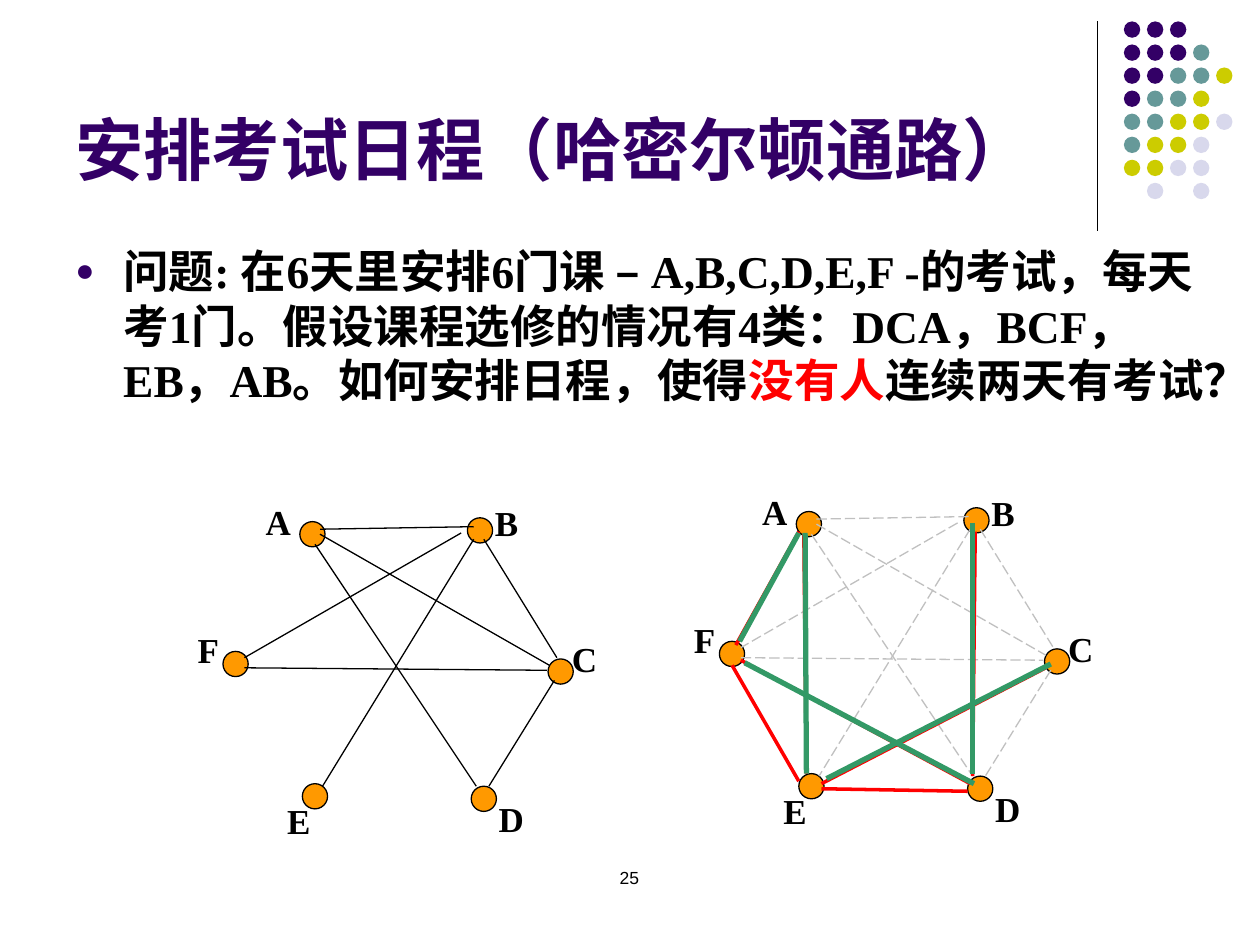
from lxml import etree
from pptx import Presentation
from pptx.dml.color import RGBColor
from pptx.enum import dml, shapes, text
from pptx.oxml import ns
from pptx.util import Inches, Pt

COLORS = {
    "purple": "330066", "teal": "669999", "olive": "CCCC00", "lilac": "D8D8EC",
    "orange": "FF9900", "black": "000000", "gray": "C0C0C0", "red": "FF0000",
    "green": "339966",
}
SERIF = "Times New Roman"

deck = Presentation()
deck.slide_width, deck.slide_height = Inches(10), Inches(7.5)
page = deck.slides.add_slide(deck.slide_layouts[6])


def add_text(left, top, width, height, runs, size):
    """Add a text box of (words, font, colour, bold) runs; return its frame."""
    box = page.shapes.add_textbox(
        Inches(left), Inches(top), Inches(width), Inches(height))
    frame = box.text_frame
    frame.word_wrap = True
    for words, font, color, bold in runs:
        span = frame.paragraphs[0].add_run()
        span.text = words
        span.font.name, span.font.size, span.font.bold = font, Pt(size), bold
        span.font.color.rgb = RGBColor.from_string(COLORS[color])
        if not words.isascii():
            span._r.get_or_add_rPr().set("lang", "zh-CN")
    return frame


def add_line(start, end, color, width=0.75, dashed=False):
    line = page.shapes.add_connector(
        shapes.MSO_CONNECTOR.STRAIGHT, *[Inches(v) for v in (*start, *end)])
    line.line.color.rgb = RGBColor.from_string(COLORS[color])
    line.line.width = Pt(width)
    if dashed:
        line.line.dash_style = dml.MSO_LINE.LONG_DASH
    etree.SubElement(line._element.spPr, ns.qn("a:effectLst"))


# Corner decoration: one letter per dot
add_line((8.71, 0.17), (8.71, 1.83), "black")
dot_colors = {"p": "purple", "t": "teal", "o": "olive", "l": "lilac"}
dot_rows = ["ppp", "pppt", "pptto", "ptto", "ttool", "tool", "ooll", " l l"]
for row, letters in enumerate(dot_rows):
    for column, letter in enumerate(letters):
        if letter == " ":
            continue
        dot = page.shapes.add_shape(
            shapes.MSO_SHAPE.OVAL, Inches(8.92 + 0.183 * column),
            Inches(0.17 + 0.183 * row), Inches(0.13), Inches(0.13))
        dot.shadow.inherit = False
        dot.fill.solid()
        dot.fill.fore_color.rgb = RGBColor.from_string(COLORS[dot_colors[letter]])
        dot.line.fill.background()

# Title and question
title = add_text(0.5, 0.13, 8.25, 1.42, [
    ("安排考试日程（", "Arial", "purple", True),
    ("哈密尔顿通路）", SERIF, "purple", True)], 39)
title.vertical_anchor = text.MSO_ANCHOR.BOTTOM

question = add_text(0.5, 1.88, 9.23, 2.03, [
    ("问题: 在6天里安排6门课 – A,B,C,D,E,F -的考试，每天考1门。"
     "假设课程选修的情况有4类：DCA，BCF，EB，AB。如何安排日程，使得",
     SERIF, "black", True),
    ("没有人", SERIF, "red", True),
    ("连续两天有考试？", SERIF, "black", True)], 26)
bullet = question.paragraphs[0]._p.get_or_add_pPr()
bullet.set("marL", str(Inches(0.38)))
bullet.set("indent", str(-Inches(0.38)))
bullet_color = etree.SubElement(bullet, ns.qn("a:buClr"))
etree.SubElement(bullet_color, ns.qn("a:srgbClr"), val=COLORS["purple"])
etree.SubElement(bullet, ns.qn("a:buSzPct"), val="70000")
etree.SubElement(bullet, ns.qn("a:buFont"), typeface="Arial")
etree.SubElement(bullet, ns.qn("a:buChar"), char="●")

# Course graph, drawn twice: conflicts on the left, schedule on the right
courses = {  # name: (node left and top, label left and top)
    "A": ((2.38, 4.14), (2.01, 3.92)),
    "B": ((3.71, 4.11), (3.83, 3.93)),
    "C": ((4.35, 5.23), (4.44, 5.01)),
    "D": ((3.74, 6.24), (3.86, 6.28)),
    "E": ((2.40, 6.22), (2.18, 6.30)),
    "F": ((1.77, 5.17), (1.47, 4.94)),
}
conflicts = [
    ((2.5, 4.32), (3.78, 6.24)),   # A-D
    ((2.54, 4.24), (4.36, 5.28)),  # A-C
    ((4.4, 5.4), (3.88, 6.24)),    # C-D
    ((3.84, 4.28), (4.42, 5.22)),  # B-C
    ((3.66, 4.23), (1.94, 5.22)),  # B-F
    ((1.94, 5.3), (4.34, 5.32)),   # F-C
    ((3.76, 4.28), (2.56, 6.24)),  # B-E
    ((2.54, 4.2), (3.76, 4.18)),   # A-B
]
for dx, dy, color, dashed in [(0, 0, "black", False), (3.94, -0.08, "gray", True)]:
    for (left, top), _ in courses.values():
        node = page.shapes.add_shape(
            shapes.MSO_SHAPE.OVAL, Inches(left + dx), Inches(top + dy),
            Inches(0.2), Inches(0.2))
        node.shadow.inherit = False
        node.fill.solid()
        node.fill.fore_color.rgb = RGBColor.from_string(COLORS["orange"])
        node.line.color.rgb = RGBColor.from_string(COLORS["black"])
        node.line.width = Pt(0.75)
    for name, (_, (left, top)) in courses.items():
        label = add_text(left + dx, top + dy, 0.47, 0.43,
                         [(name, SERIF, "black", True)], 20)
        label.auto_size = text.MSO_AUTO_SIZE.SHAPE_TO_FIT_TEXT
    for (x1, y1), (x2, y2) in conflicts:
        add_line((x1 + dx, y1 + dy), (x2 + dx, y2 + dy), color, dashed=dashed)

# Complement edges in red, Hamiltonian path in green
complement = [
    ((6.34, 4.22), (5.84, 5.12)),  # A-F
    ((6.38, 4.24), (6.4, 6.14)),   # A-E
    ((7.74, 4.22), (7.72, 6.16)),  # B-D
    ((8.3, 5.3), (6.52, 6.22)),    # C-E
    ((5.88, 5.24), (7.7, 6.22)),   # F-D
    ((6.52, 6.26), (7.68, 6.28)),  # E-D
    ((5.81, 5.28), (6.34, 6.2)),   # F-E
]
hamiltonian_path = [
    ((7.72, 4.15), (7.72, 6.14)),  # B-D
    ((5.91, 5.26), (7.73, 6.22)),  # F-D
    ((5.87, 5.09), (6.34, 4.23)),  # F-A
    ((6.39, 4.23), (6.4, 6.14)),   # A-E
    ((6.56, 6.18), (8.34, 5.27)),  # E-C
]
for edges, color, width in [(complement, "red", 2), (hamiltonian_path, "green", 3)]:
    for start, end in edges:
        add_line(start, end, color, width)

page_number = add_text(3.83, 6.83, 2.33, 0.5, [("25", "Arial", "black", False)], 10)
page_number.paragraphs[0].alignment = text.PP_ALIGN.CENTER

deck.save("out.pptx")
